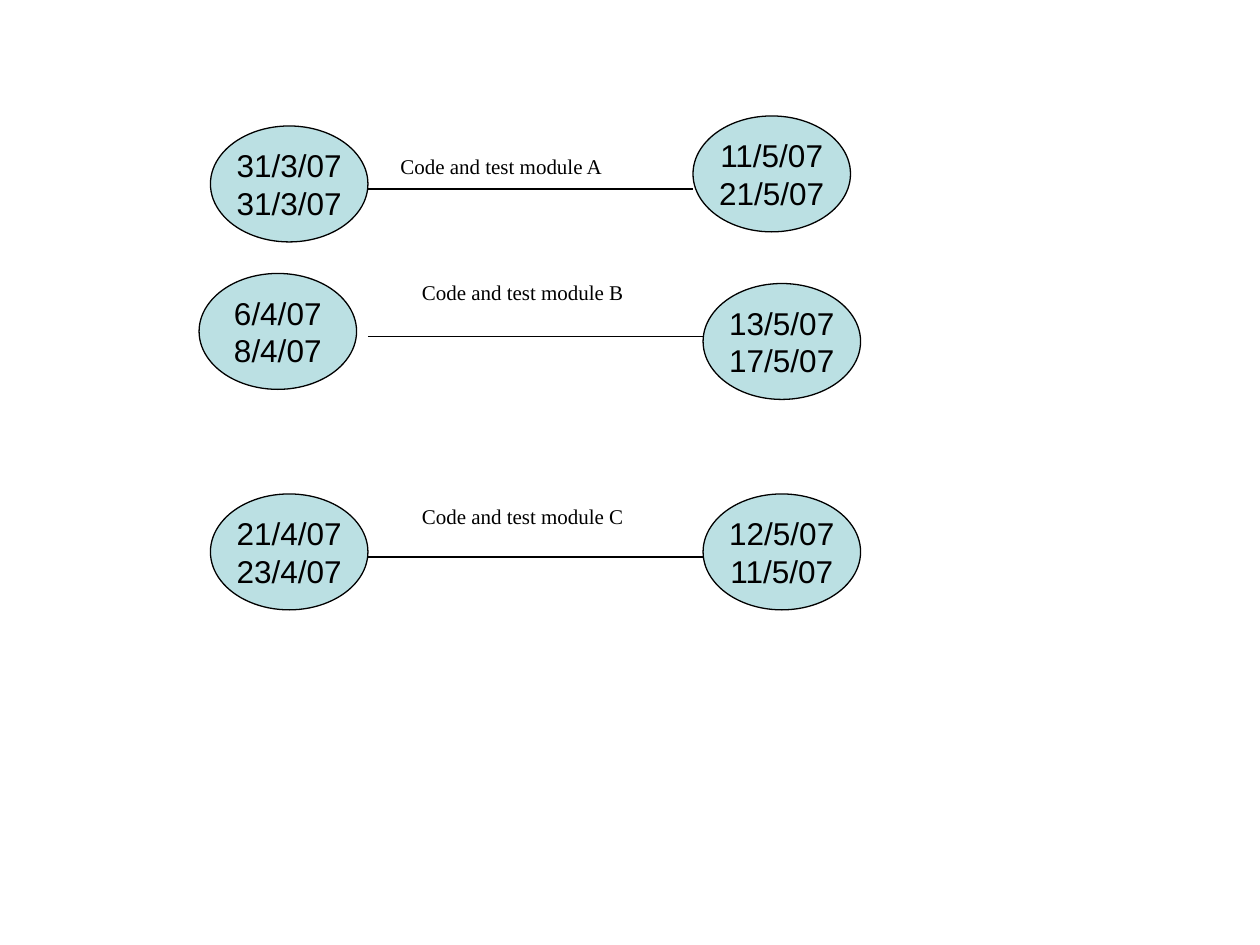
from pptx import Presentation
from pptx import util as u
from pptx.dml.color import RGBColor
from pptx.enum import shapes, text
from pptx.oxml.ns import qn
from lxml import etree

TEAL = RGBColor(0xBB, 0xE0, 0xE3)
BLACK = RGBColor(0, 0, 0)
WIDE, HIGH = 1.25, 0.92
TASKS = [
    ("Code and test module A", (3.08, 1.17), 1.5,
     (1.67, 1), ("31/3/07", "31/3/07"), (5.5, 0.92), ("11/5/07", "21/5/07")),
    ("Code and test module B", (3.25, 2.17), 2.67,
     (1.58, 2.17), ("6/4/07", "8/4/07"), (5.58, 2.25), ("13/5/07", "17/5/07")),
    ("Code and test module C", (3.25, 3.95), 4.42,
     (1.67, 3.92), ("21/4/07", "23/4/07"), (5.58, 3.92), ("12/5/07", "11/5/07")),
]


def style(para, name, size):
    """Set the font of a paragraph."""
    para.font.name = name
    para.font.size = u.Pt(size)
    para.font.color.rgb = BLACK


def add_event(slide, spot, dates):
    """Draw an ellipse holding a pair of dates."""
    left, top = spot
    oval = slide.shapes.add_shape(
        shapes.MSO_SHAPE.OVAL, u.Inches(left), u.Inches(top),
        u.Inches(WIDE), u.Inches(HIGH))
    oval.shadow.inherit = False
    oval.fill.solid()
    oval.fill.fore_color.rgb = TEAL
    oval.line.color.rgb = BLACK
    oval.line.width = u.Pt(0.75)
    frame = oval.text_frame
    frame.word_wrap = False
    frame.vertical_anchor = text.MSO_ANCHOR.MIDDLE
    frame.text = "\n".join(dates)
    for para in frame.paragraphs:
        para.alignment = text.PP_ALIGN.CENTER
        style(para, "Arial", 18)


def add_link(slide, start, end, level):
    """Draw a level line between two events."""
    line = slide.shapes.add_connector(
        shapes.MSO_CONNECTOR.STRAIGHT, u.Inches(start), u.Inches(level),
        u.Inches(end), u.Inches(level))
    line.line.color.rgb = BLACK
    line.line.width = u.Pt(0.75)
    etree.SubElement(line._element.spPr, qn("a:effectLst"))


def add_label(slide, spot, words):
    """Write the name of a task above its line."""
    left, top = spot
    box = slide.shapes.add_textbox(
        u.Inches(left), u.Inches(top), u.Inches(2), u.Inches(0.3))
    frame = box.text_frame
    frame.word_wrap = True
    frame.auto_size = text.MSO_AUTO_SIZE.SHAPE_TO_FIT_TEXT
    frame.text = words
    style(frame.paragraphs[0], "Times New Roman", 12)


def add_task(slide, name, spot, level, first, begun, last, done):
    """Place one task with its start, end, line and name."""
    add_event(slide, first, begun)
    add_event(slide, last, done)
    add_link(slide, 2.92, last[0], level)
    add_label(slide, spot, name)


def main():
    """Build and save the slide."""
    deck = Presentation()
    deck.slide_width, deck.slide_height = u.Inches(10), u.Inches(7.5)
    slide = deck.slides.add_slide(deck.slide_layouts[6])
    for task in TASKS:
        add_task(slide, *task)
    deck.save("out.pptx")


if __name__ == "__main__":
    main()
